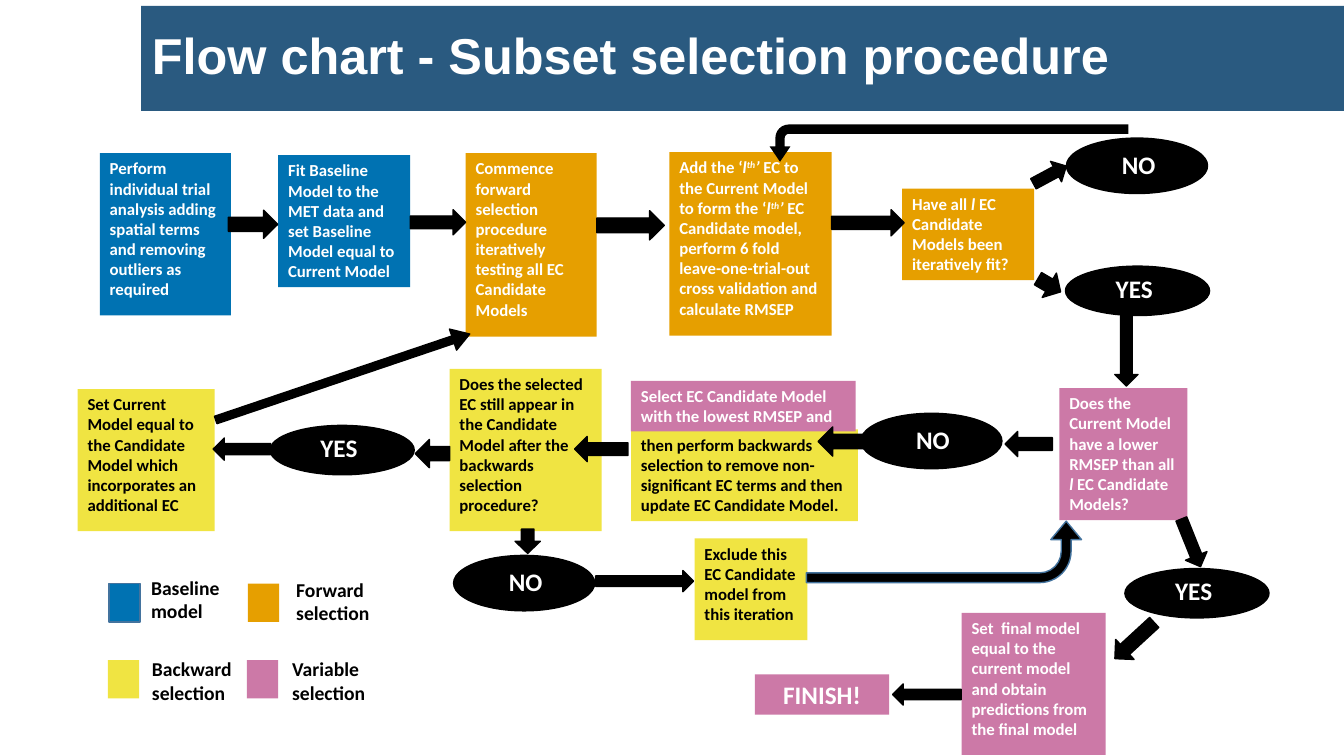
import pptx
import pptx.util
import pptx.dml.color
import pptx.enum.shapes
import pptx.enum.text

RGBColor = pptx.dml.color.RGBColor
SHAPE = pptx.enum.shapes.MSO_SHAPE
ALIGN = pptx.enum.text.PP_ALIGN
ANCHOR = pptx.enum.text.MSO_ANCHOR

WHITE = RGBColor(0xFF, 0xFF, 0xFF)
BLACK = RGBColor(0x00, 0x00, 0x00)
BANNER = RGBColor(0x2A, 0x5A, 0x80)
BASELINE = RGBColor(0x00, 0x72, 0xB2)
FORWARD = RGBColor(0xE6, 0x9F, 0x00)
BACKWARD = RGBColor(0xF0, 0xE4, 0x42)
VARIABLE = RGBColor(0xCC, 0x79, 0xA7)
OUTLINE = RGBColor(0x43, 0x73, 0x9E)

CELL = pptx.util.Inches(0.1)
COLUMNS, ROWS = 133.33, 75

ITALIC, RAISED = "italic", "raised"
LTH = [("l", ITALIC), ("th", RAISED), ("’", ITALIC)]

STEPS = [
    (BACKWARD, 62.6, 42.6, 22.5, 9.1,
     "then perform backwards selection to remove non-significant EC terms "
     "and then update EC Candidate Model."),
    (VARIABLE, 62.6, 37.8, 22.3, 5,
     "Select EC Candidate Model with the lowest RMSEP and"),
    (BASELINE, 9.9, 15.2, 13, 16.1,
     "Perform individual trial analysis adding spatial terms and removing "
     "outliers as required"),
    (BASELINE, 27.6, 15.4, 13.1, 13.1,
     "Fit Baseline Model to the MET data and set Baseline Model equal to "
     "Current Model"),
    (FORWARD, 46.2, 15.2, 13, 18.2,
     "Commence forward selection procedure iteratively testing all EC "
     "Candidate Models"),
    (FORWARD, 66.4, 15.1, 16.1, 18.2,
     ["Add the ‘", *LTH, " EC to the Current Model  to form the ‘", *LTH,
      " EC Candidate model, perform 6 fold leave-one-trial-out cross "
      "validation and calculate RMSEP"]),
    (FORWARD, 89.5, 18.7, 13.1, 9.1,
     ["Have all ", ("l ", ITALIC), "EC Candidate Models been iteratively fit?"]),
    (VARIABLE, 105.1, 38.5, 12.7, 13.1,
     ["Does the Current Model have a lower RMSEP than all ", ("l", ITALIC),
      " EC Candidate Models?"]),
    (BACKWARD, 44.6, 36.6, 15.1, 16.1,
     "Does the selected EC still appear in the Candidate Model after the "
     "backwards selection procedure?"),
    (BACKWARD, 68.9, 53.4, 11.2, 10.1,
     "Exclude this EC Candidate model from this iteration"),
    (BACKWARD, 7.7, 38.6, 13.6, 14.1,
     "Set Current Model equal to the Candidate Model which incorporates an "
     "additional EC"),
    (VARIABLE, 95.4, 60.8, 14.3, 14.1,
     "Set  final model equal to the current model and obtain predictions "
     "from the final model"),
]

ANSWERS = [
    ("NO", 105.8, 13.7), ("NO", 85.4, 41), ("NO", 45, 55.1),
    ("YES", 105.7, 26.4), ("YES", 111.6, 56.4), ("YES", 26.8, 42.2),
]

ANSWER_SIZES = {
    "NO": (14, 5.5, 4.5, 0.6, 10.9),
    "YES": (14.3, 4.9, 4, 0.2, 12.2),
}

ARROWS = [
    (23.7, 19.8, 2.8, 4.9, 270),
    (42.2, 19.3, 2.5, 5.5, 270),
    (61.1, 19, 2.9, 6.7, 270),
    (84.8, 18.5, 2.6, 7.2, 270),
    (102.7, 27, 2.8, 2.6, 300.3),
    (103, 15.5, 2.3, 3.7, 241.7),
    (100.8, 41.7, 2.5, 4.7, 90),
    (41.5, 43.3, 2.8, 3.4, 90),
    (117, 51.3, 2.3, 5.1, 338.1),
    (51.1, 52.5, 2.5, 2.4, 0),
    (111.2, 60.9, 2.7, 5.3, 47.4),
    (90.9, 65.5, 2.1, 6.8, 90),
    (110.6, 30.8, 2.3, 7.5, 0),
    (58.4, 41.9, 2.5, 5.3, 90),
    (62.9, 52.8, 2.1, 9.7, 270),
    (22.9, 41.7, 2.2, 5.7, 90),
    (82, 41.5, 2.9, 4.6, 90),
]

LEGEND = [
    ("Baseline model", BASELINE, 10.8, 57.9, 14, 56.6, 9.5),
    ("Forward selection", FORWARD, 24.6, 57.9, 28.4, 56.8, 10.5),
    ("Backward selection", BACKWARD, 10.7, 65.5, 14.1, 64.7, 11),
    ("Variable selection", VARIABLE, 24.5, 65.5, 28, 64.7, 11),
]


def on_grid(*lengths):
    return [round(length * CELL) for length in lengths]


def write_text(shape, text, *, size=12, color=BLACK, font="Calibri",
               align=ALIGN.LEFT, anchor=ANCHOR.TOP, spacing=None):
    frame = shape.text_frame
    frame.word_wrap = True
    frame.vertical_anchor = anchor
    paragraph = frame.paragraphs[0]
    paragraph.alignment = align
    if spacing:
        paragraph.line_spacing = spacing
    for part in [text] if isinstance(text, str) else text:
        words, style = (part, None) if isinstance(part, str) else part
        run = paragraph.add_run()
        run.text = words
        run.font.name = font
        run.font.size = pptx.util.Pt(size)
        run.font.bold = True
        run.font.italic = style is not None
        run.font.color.rgb = color
        if style == RAISED:
            run._r.get_or_add_rPr().set("baseline", "30000")


def add_label(slide, text, left, top, width, height, **text_format):
    label = slide.shapes.add_textbox(*on_grid(left, top, width, height))
    write_text(label, text, **text_format)


def add_figure(slide, kind, fill, left, top, width, height, outline=None):
    shape = slide.shapes.add_shape(kind, *on_grid(left, top, width, height))
    shape.shadow.inherit = False
    shape.fill.solid()
    shape.fill.fore_color.rgb = fill
    if outline is None:
        shape.line.fill.background()
    else:
        shape.line.color.rgb = outline
        shape.line.width = pptx.util.Pt(1)
    return shape


def add_step(slide, fill, left, top, width, height, text):
    box = add_figure(slide, SHAPE.RECTANGLE, fill, left, top, width, height)
    write_text(box, text, color=BLACK if fill == BACKWARD else WHITE)


def add_answer(slide, answer, left, top):
    width, height, indent, drop, label_width = ANSWER_SIZES[answer]
    add_figure(slide, SHAPE.OVAL, BLACK, left, top, width, height, BLACK)
    add_label(slide, answer, left + indent, top + drop, label_width, 4,
              size=18, color=WHITE)


def add_arrow(slide, left, top, width, height, rotation,
              kind=SHAPE.DOWN_ARROW, adjustments=(), outline=BLACK):
    arrow = add_figure(slide, kind, BLACK, left, top, width, height, outline)
    arrow.rotation = rotation
    for index, value in enumerate(adjustments):
        arrow.adjustments[index] = value
    return arrow


def add_bent_arrow(slide, *frame, **arrow_format):
    arrow = add_arrow(slide, *frame, kind=SHAPE.BENT_ARROW, **arrow_format)
    arrow._element.spPr.get_or_add_xfrm().set("flipH", "1")


def add_legend_entry(slide, text, fill, left, top, text_left, text_top, width):
    outline = OUTLINE if fill == BASELINE else None
    add_figure(slide, SHAPE.RECTANGLE, fill, left, top, 3.1, 3.8, outline)
    add_label(slide, text, text_left, text_top, width, 5.7, size=14)


def main():
    presentation = pptx.Presentation()
    presentation.slide_width, presentation.slide_height = on_grid(COLUMNS, ROWS)
    slide = presentation.slides.add_slide(presentation.slide_layouts[6])

    add_figure(slide, SHAPE.RECTANGLE, BANNER, 14, 0.6, COLUMNS - 14, 10.4)
    add_label(slide, "Flow chart - Subset selection procedure",
              14.1, 0.6, 118, 10.4, size=36, color=WHITE, font="Arial",
              anchor=ANCHOR.MIDDLE, spacing=0.9)
    for entry in LEGEND:
        add_legend_entry(slide, *entry)
    for step in STEPS:
        add_step(slide, *step)
    finish = add_figure(slide, SHAPE.RECTANGLE, VARIABLE, 74.9, 66.9, 13.3, 4)
    write_text(finish, "FINISH!", size=18, color=WHITE, align=ALIGN.CENTER)
    for answer in ANSWERS:
        add_answer(slide, *answer)
    for arrow in ARROWS:
        add_arrow(slide, *arrow)
    add_arrow(slide, 32.9, 24.1, 2.2, 26.6, 251.3, adjustments=(0.35, 0.79))
    add_bent_arrow(slide, 90.6, 41.1, 6.1, 27.3, 90, outline=OUTLINE,
                   adjustments=(0.16, 0.25, 0.3, 0.51))
    add_bent_arrow(slide, 92.3, -3.6, 3.7, 35.6, 270, outline=None,
                   adjustments=(0.25, 0.28, 0.41, 0.36))
    presentation.save("out.pptx")


if __name__ == "__main__":
    main()
